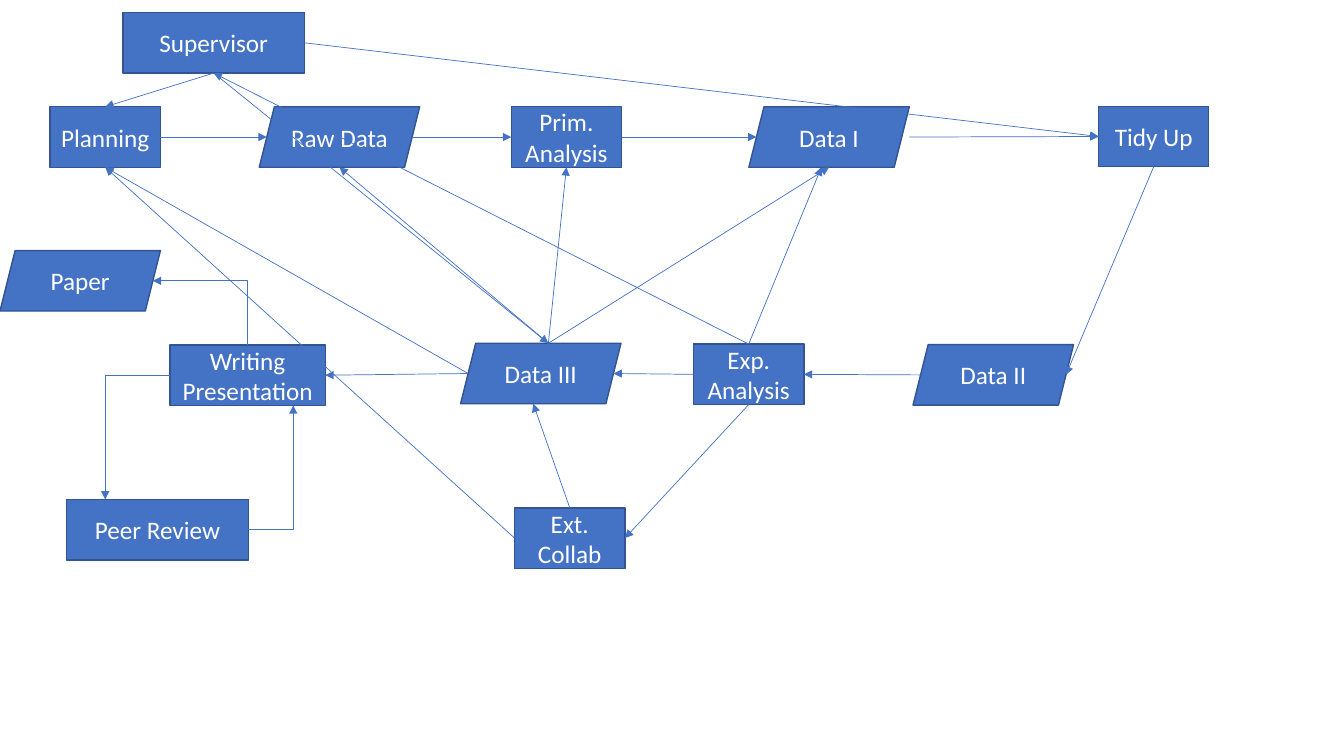
from pptx import Presentation
from pptx import util as u
from pptx.dml import color
from pptx.enum import shapes, text
from pptx.oxml import ns
from lxml import etree

COLORS = {"fill": "4472C4", "outline": "325491", "text": "FFFFFF"}
FONT = {"name": "Calibri", "size": u.Pt(18)}
FRAME = {"vertical_anchor": text.MSO_ANCHOR.MIDDLE, "word_wrap": True}
KINDS = {"step": shapes.MSO_SHAPE.RECTANGLE,
         "data": shapes.MSO_SHAPE.PARALLELOGRAM}
HEIGHT = 43.2
SLANT = HEIGHT / 8  # shift of a parallelogram's side middles

# Side: fraction across, fraction down, slant direction, connection site
SIDES = {
    "top": (0.5, 0, 1, 0),
    "left": (0, 0.5, 1, 1),
    "bottom": (0.5, 1, -1, 2),
    "right": (1, 0.5, -1, 3),
    "base": (0.5, 1, 0, 2),  # unslanted bottom middle
    "edge": (1, 0.5, 0, 3),  # unslanted right middle
}


def rgb(name):
    return color.RGBColor.from_string(COLORS[name])


def apply(target, values):
    for name, value in values.items():
        setattr(target, name, value)


class Flowchart:
    def __init__(self, slide):
        self.slide = slide
        self.nodes = {}

    def node(self, label, kind, left, top, width):
        shape = self.slide.shapes.add_shape(
            KINDS[kind], u.Pt(left), u.Pt(top), u.Pt(width), u.Pt(HEIGHT))
        shape.shadow.inherit = False
        shape.fill.solid()
        shape.fill.fore_color.rgb = rgb("fill")
        apply(shape.line, {"width": u.Pt(1)})
        shape.line.color.rgb = rgb("outline")
        apply(shape.text_frame, FRAME)
        paragraph = shape.text_frame.paragraphs[0]
        paragraph.alignment = text.PP_ALIGN.CENTER
        run = paragraph.add_run()
        run.text = label
        apply(run.font, FONT)
        run.font.color.rgb = rgb("text")
        self.nodes[label] = (shape, kind, left, top, width)

    def point(self, label, side):
        _, kind, left, top, width = self.nodes[label]
        across, down, direction, _ = SIDES[side]
        shift = SLANT * direction if kind == "data" else 0
        return left + width * across + shift, top + HEIGHT * down

    def line(self, kind, start, end, arrow="tailEnd"):
        connector = self.slide.shapes.add_connector(
            kind, *(u.Pt(value) for value in (*start, *end)))
        connector.line.width = u.Pt(0.5)
        connector.line.color.rgb = rgb("fill")
        properties = connector._element.spPr
        etree.SubElement(properties.find(ns.qn("a:ln")), ns.qn("a:" + arrow),
                         type="triangle")
        etree.SubElement(properties, ns.qn("a:effectLst"))
        return connector

    def arrow(self, source, source_side, target, target_side):
        connector = self.line(shapes.MSO_CONNECTOR.STRAIGHT,
                              self.point(source, source_side),
                              self.point(target, target_side))
        for join, label, side in (
                (connector.begin_connect, source, source_side),
                (connector.end_connect, target, target_side)):
            shape, kind = self.nodes[label][:2]
            if kind == "step":
                join(shape, SIDES[side][3])

    def elbow(self, start, end, arrow="tailEnd"):
        """Run across from start, then up or down to end."""
        connector = self.line(shapes.MSO_CONNECTOR.ELBOW, start, end, arrow)
        geometry = connector._element.spPr.find(ns.qn("a:prstGeom"))
        geometry.set("prst", "bentConnector2")


def main():
    presentation = Presentation()
    apply(presentation, {"slide_width": u.Pt(960), "slide_height": u.Pt(540)})
    chart = Flowchart(
        presentation.slides.add_slide(presentation.slide_layouts[6]))

    # Steps and data, by row
    step, data, person = 78.8, 114.6, 129.8
    upper, lower = 76.3, 245.8
    for node in (
        ("Supervisor", "step", 87.8, 9, person),
        ("Planning", "step", 35.8, upper, step),
        ("Raw Data", "data", 185.2, upper, data),
        ("Prim. Analysis", "step", 365.2, upper, step),
        ("Data I", "data", 534.9, upper, data),
        ("Tidy Up", "step", 784.7, 75.9, step),
        ("Paper", "data", 0, 179, data),
        ("Writing Presentation", "step", 121.4, 246.4, 111),
        ("Data III", "data", 329, 245.2, data),
        ("Exp. Analysis", "step", 495.4, lower, step),
        ("Data II", "data", 652.2, 246.2, data),
        ("Peer Review", "step", 47.6, 356.8, person),
        ("Ext. Collab", "step", 367.6, 362.8, step),
    ):
        chart.node(*node)

    # Straight arrows
    for link in (
        ("Planning", "right", "Raw Data", "left"),
        ("Raw Data", "right", "Prim. Analysis", "left"),
        ("Prim. Analysis", "right", "Data I", "left"),
        ("Data I", "edge", "Tidy Up", "left"),
        ("Tidy Up", "bottom", "Data II", "right"),
        ("Supervisor", "bottom", "Planning", "top"),
        ("Data II", "left", "Exp. Analysis", "right"),
        ("Exp. Analysis", "left", "Data III", "right"),
        ("Data III", "left", "Writing Presentation", "right"),
        ("Exp. Analysis", "bottom", "Ext. Collab", "right"),
        ("Ext. Collab", "top", "Data III", "bottom"),
        ("Data III", "top", "Raw Data", "base"),
        ("Data III", "top", "Data I", "base"),
        ("Data III", "left", "Planning", "bottom"),
        ("Supervisor", "bottom", "Data III", "top"),
        ("Supervisor", "right", "Tidy Up", "left"),
        ("Data III", "top", "Prim. Analysis", "bottom"),
        ("Exp. Analysis", "top", "Data I", "bottom"),
        ("Ext. Collab", "left", "Planning", "bottom"),
        ("Exp. Analysis", "top", "Supervisor", "bottom"),
    ):
        chart.arrow(*link)

    # Elbow arrows around writing and review
    chart.elbow(chart.point("Peer Review", "right"), (209.5, 289.6))
    chart.elbow(chart.point("Writing Presentation", "left"), (75.2, 356.8))
    chart.elbow(chart.point("Paper", "right"),
                chart.point("Writing Presentation", "top"), "headEnd")

    presentation.save("out.pptx")


if __name__ == "__main__":
    main()
